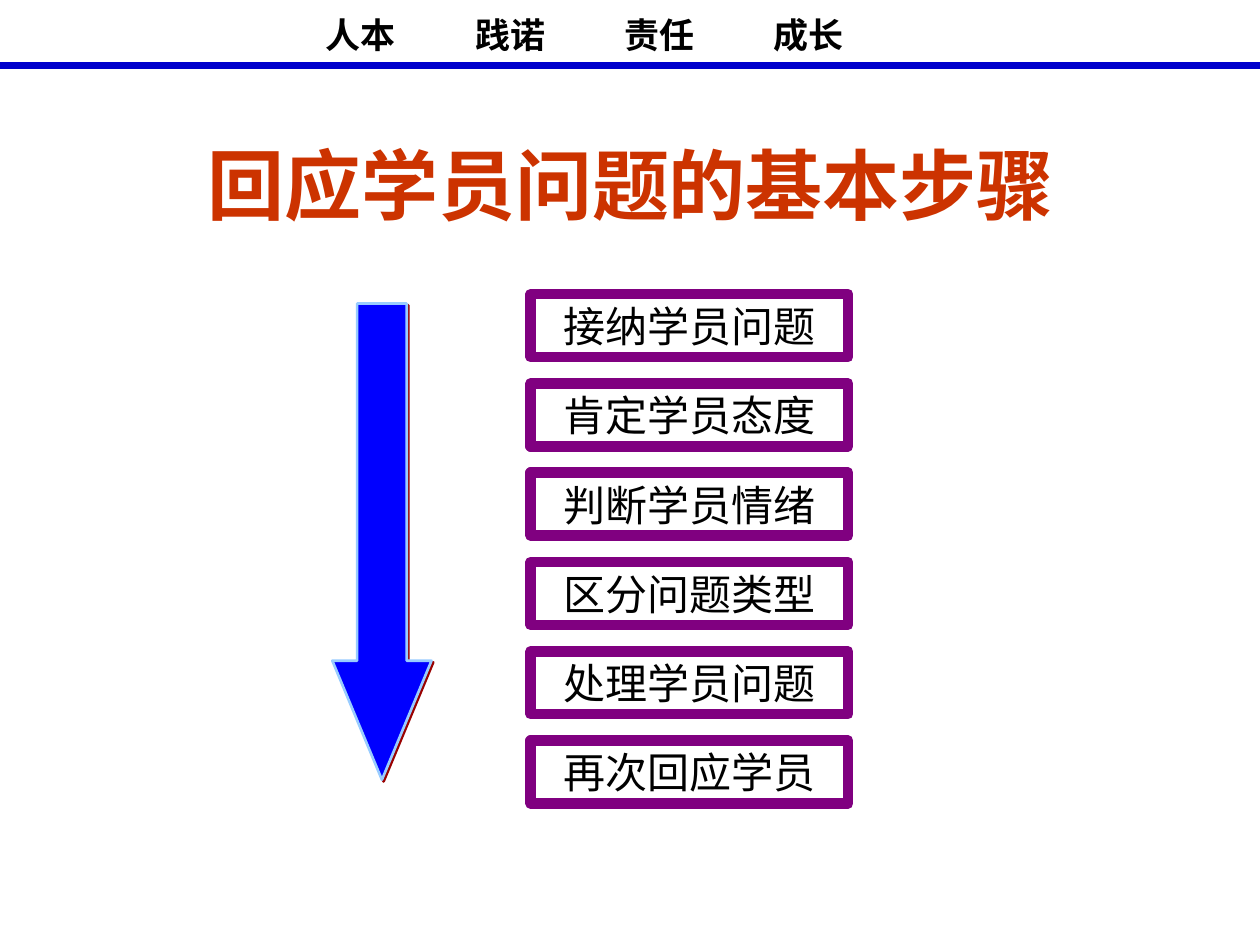
"""Build a slide with the basic steps for answering trainees' questions."""
from lxml.etree import SubElement
from pptx import Presentation
from pptx.dml.color import RGBColor
from pptx.enum.shapes import MSO_CONNECTOR as LINE, MSO_SHAPE as SHAPE
from pptx.enum.text import MSO_ANCHOR as ANCHOR, PP_ALIGN as ALIGN
from pptx.oxml.ns import qn
from pptx.util import Cm, Pt


def tint(code):
    return RGBColor.from_string(code)


def write(shape, text, size, font="Arial", color="000000", bold=False, align=ALIGN.CENTER, tabs=()):
    frame = shape.text_frame
    frame.word_wrap = True
    frame.vertical_anchor = ANCHOR.MIDDLE
    para = frame.paragraphs[0]
    para.alignment = align
    if tabs:
        stops = SubElement(para._p.get_or_add_pPr(), qn("a:tabLst"))
        for pos in tabs:
            SubElement(stops, qn("a:tab"), pos=str(Cm(pos)), algn="l")
    run = para.add_run()
    run.text = text
    run.font.size = Pt(size)
    run.font.bold = bold
    run.font.name = font
    run.font.color.rgb = tint(color)
    SubElement(run._r.get_or_add_rPr(), qn("a:ea"), typeface="Noto Sans CJK SC")


deck = Presentation()
deck.slide_width, deck.slide_height = Cm(25.4), Cm(19.05)
slide = deck.slides.add_slide(deck.slide_layouts[6])
shapes = slide.shapes

motto = shapes.add_textbox(Cm(1.3), Cm(0.13), Cm(22.8), Cm(1.12))
motto.text_frame.margin_left = Cm(5.27)
write(motto, "\t".join(["人本", "践诺", "责任", "成长"]), 20, font="Noto Sans CJK SC",
      bold=True, align=ALIGN.LEFT, tabs=[3.01 * i for i in range(1, 4)])

rule = shapes.add_connector(LINE.STRAIGHT, Cm(0), Cm(1.32), Cm(25.4), Cm(1.32))
rule.line.color.rgb = tint("0000CC")
rule.line.width = Pt(4.5)
SubElement(rule._element.spPr, qn("a:effectLst"))

title = shapes.add_textbox(Cm(1), Cm(2.3), Cm(23.44), Cm(2.8))
write(title, "回应学员问题的基本步骤", 44, color="CC3300", bold=True)

steps = ["接纳学员问题", "肯定学员态度", "判断学员情绪",
         "区分问题类型", "处理学员问题", "再次回应学员"]
for i, step in enumerate(steps):
    box = shapes.add_shape(SHAPE.RECTANGLE, Cm(10.7), Cm(5.93 + 1.8 * i), Cm(6.4), Cm(1.27))
    box.shadow.inherit = False
    box.fill.background()
    box.line.color.rgb = tint("800080")
    box.line.width = Pt(6)
    write(box, step, 24)

arrow = shapes.add_shape(SHAPE.DOWN_ARROW, Cm(6.7), Cm(6.12), Cm(2), Cm(9.6))
arrow.adjustments[0] = 0.5
arrow.adjustments[1] = 1.2
arrow.fill.solid()
arrow.fill.fore_color.rgb = tint("0000FF")
arrow.line.color.rgb = tint("99CCFF")
arrow.line.width = Pt(1.5)
arrow.shadow.inherit = False
glow = arrow._element.spPr.find(qn("a:effectLst"))
shade = SubElement(glow, qn("a:outerShdw"), dist=str(Pt(1.4)), dir="2700000", algn="ctr", rotWithShape="0")
SubElement(shade, qn("a:srgbClr"), val="990000")

deck.save("out.pptx")
